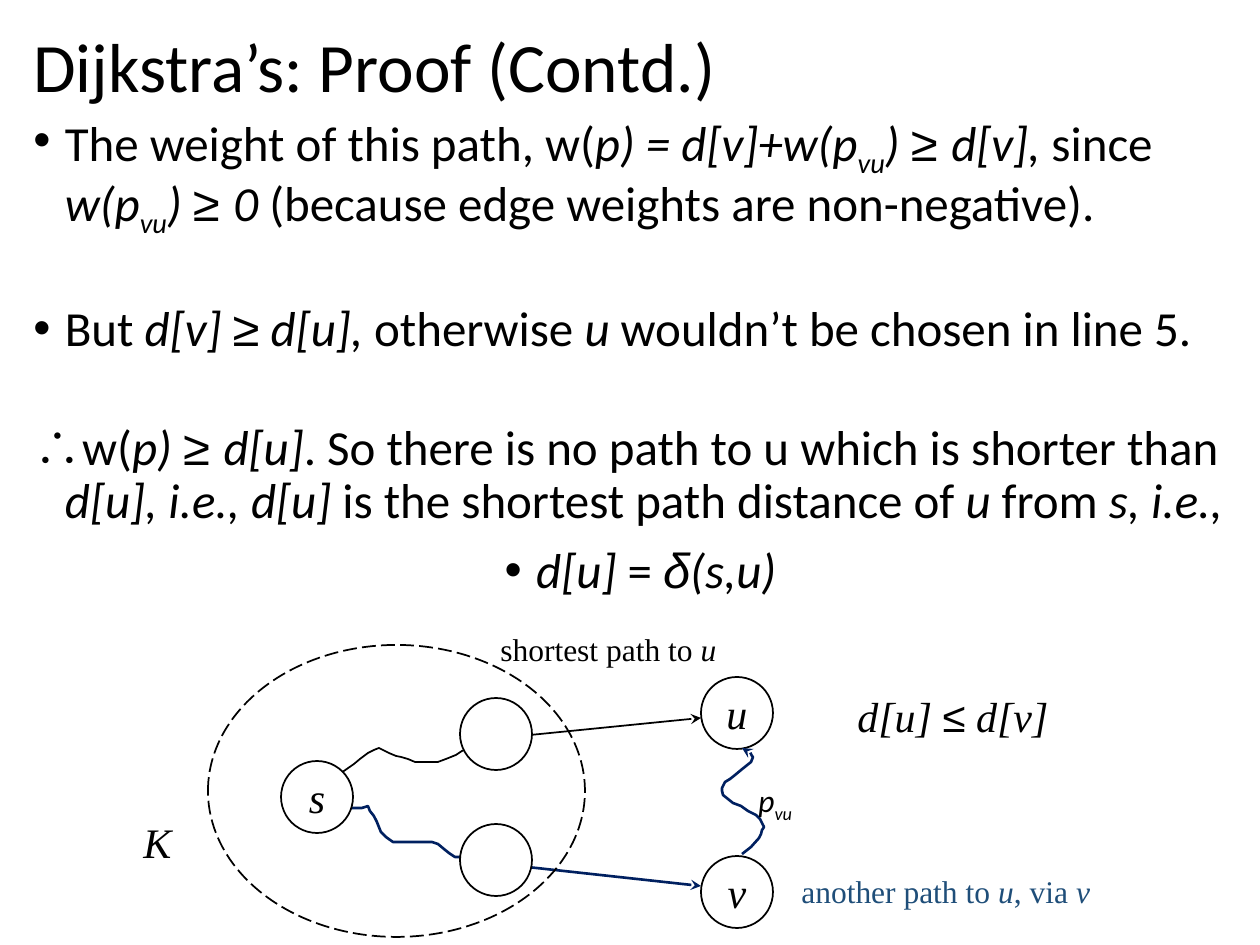
from pptx import Presentation
from pptx.dml.color import RGBColor
from pptx.enum.dml import MSO_LINE
from pptx.enum.shapes import MSO_CONNECTOR, MSO_SHAPE
from pptx.enum.text import MSO_ANCHOR, PP_ALIGN
from pptx.oxml.ns import qn
from pptx.util import Pt
from lxml import etree

PX = 914400 / 126
LEFT, CENTER = PP_ALIGN.LEFT, PP_ALIGN.CENTER
TOP, MIDDLE = MSO_ANCHOR.TOP, MSO_ANCHOR.MIDDLE
OVAL, STRAIGHT = MSO_SHAPE.OVAL, MSO_CONNECTOR.STRAIGHT
LONG_DASH = MSO_LINE.LONG_DASH
SANS, SERIF, SYMBOL = "Calibri", "Times New Roman", "Arial"
BLACK, WHITE, NAVY, BLUE = "000000", "FFFFFF", "002060", "1F4E79"

# Run styles: "i" italic, "s" subscript, "y" symbol font
TITLE = [("Dijkstra’s: Proof (Contd.)", "")]
# bullet, alignment, space before in points, runs
BODY = [
    ("•", LEFT, 10, [
        ("The weight of this path, w(", ""), ("p) = d[v]+w(p", "i"), ("vu", "is"),
        (") ", "i"), ("≥ ", "iy"), ("d[v],", "i"), (" since ", ""), ("w(p", "i"),
        ("vu", "is"), (") ", "i"), ("≥ ", "iy"), ("0 ", "i"),
        ("(because edge weights are non-negative).", "")]),
    ("•", LEFT, 40, [
        ("But ", ""), ("d[v] ", "i"), ("≥", "iy"), (" d[u], ", "i"),
        ("otherwise ", ""), ("u ", "i"), ("wouldn’t be chosen in line 5.", "")]),
    ("∴", LEFT, 38, [
        ("w(", ""), ("p) ", "i"), ("≥ ", "iy"), ("d[u]", "i"),
        (". So there is no path to u which is shorter than ", ""),
        ("d[u], i.e., d[u]", "i"), (" is the shortest path distance of ", ""),
        ("u", "i"), (" from ", ""), ("s, i.e.,", "i")]),
    ("•", CENTER, 10, [
        ("d[u] ", "i"), ("= ", ""), ("δ", "iy"), ("(s,u)", "i")]),
]

PATH_FROM_S = [
    (333, 781), (338, 779), (344, 771), (354, 764), (360, 759), (368, 753), (374, 750),
    (379, 748), (383, 750), (389, 753), (396, 756), (401, 757), (408, 759), (415, 762),
    (438, 762), (446, 759), (456, 755), (462, 751), (469, 748), (478, 743), (484, 740)]
OTHER_PATH_FROM_S = [
    (343, 813), (349, 808), (362, 808), (368, 806), (370, 811), (374, 816), (377, 822),
    (379, 827), (381, 832), (386, 837), (393, 842), (432, 842), (438, 844), (444, 849),
    (449, 853), (455, 857), (461, 857), (465, 858), (480, 864)]
PATH_V_TO_U = [
    (742, 854), (751, 847), (759, 838), (761, 834), (762, 830), (764, 827), (762, 823),
    (760, 819), (756, 815), (748, 811), (741, 806), (733, 803), (728, 799), (723, 795),
    (722, 791), (722, 788), (725, 782), (730, 779), (735, 775), (741, 770), (746, 766),
    (751, 762), (753, 757), (752, 756), (750, 752), (745, 750), (742, 748)]

# start, end, colour, width in points
EDGES = [((500, 738), (701, 718), BLACK, 1), ((500, 864), (701, 886), NAVY, 1.5)]
NODE_SIZE = 72
NODES = [("s", 281, 761), ("", 460, 698), ("", 460, 824), ("u", 701, 677), ("v", 701, 856)]
KNOWN_SET = (208, 645, 377, 292)

# box, font, size, colour, runs
LABELS = [
    ((845, 684, 219, 65), SERIF, 24, BLACK, [("d[u] ", "i"), ("≤", "iy"), (" d[v]", "i")]),
    ((131, 810, 54, 65), SERIF, 24, BLACK, [("K", "i")]),
    ((488, 624, 242, 50), SERIF, 18, BLACK, [("shortest path to ", ""), ("u", "i")]),
    ((789, 866, 316, 50), SERIF, 18, BLUE, [
        ("another path to ", ""), ("u", "i"), (", via ", ""), ("v", "i")]),
]
PATH_LABEL = ((746, 775, 62, 50), SANS, 18, BLACK, [("p", "i"), ("vu", "is")])


def emu(*lengths):
    return [round(length * PX) for length in lengths]


def color(value):
    return RGBColor.from_string(value)


def add_runs(paragraph, runs, font, size, ink):
    for text, style in runs:
        run = paragraph.add_run()
        run.text = text
        run.font.name = SYMBOL if "y" in style else font
        run.font.size = Pt(size)
        run.font.italic = "i" in style
        run.font.color.rgb = color(ink)
        if "s" in style:
            run._r.get_or_add_rPr().set("baseline", "-25000")


def add_text_box(slide, box, wrap=False, anchor=TOP):
    frame = slide.shapes.add_textbox(*emu(*box)).text_frame
    frame.word_wrap = wrap
    frame.vertical_anchor = anchor
    return frame


def add_label(slide, box, font, size, ink, runs):
    add_runs(add_text_box(slide, box).paragraphs[0], runs, font, size, ink)


def set_bullet(paragraph, character):
    properties = paragraph._p.get_or_add_pPr()
    properties.set("marL", "228600")
    properties.set("indent", "-228600")
    etree.SubElement(properties, qn("a:buFont")).set("typeface", SYMBOL)
    etree.SubElement(properties, qn("a:buChar")).set("char", character)


def style_line(line, ink, width, arrow=False):
    line.color.rgb = color(ink)
    line.width = Pt(width)
    if arrow:
        etree.SubElement(line._get_or_add_ln(), qn("a:tailEnd")).set("type", "stealth")


def add_body(slide):
    frame = add_text_box(slide, (21, 107, 1239, 722), wrap=True)
    for index, (bullet, alignment, space, runs) in enumerate(BODY):
        paragraph = frame.add_paragraph() if index else frame.paragraphs[0]
        paragraph.alignment = alignment
        paragraph.line_spacing = 0.9
        paragraph.space_before = Pt(space)
        set_bullet(paragraph, bullet)
        add_runs(paragraph, runs, SANS, 28, BLACK)


def add_curve(slide, points, ink, width, arrow=False):
    builder = slide.shapes.build_freeform(*points[0], scale=PX)
    builder.add_line_segments(points[1:], close=False)
    shape = builder.convert_to_shape()
    shape.shadow.inherit = False
    shape.fill.background()
    style_line(shape.line, ink, width, arrow)


def add_edge(slide, start, end, ink, width):
    connector = slide.shapes.add_connector(STRAIGHT, *emu(*start, *end))
    style_line(connector.line, ink, width, arrow=True)
    etree.SubElement(connector._element.spPr, qn("a:effectLst"))


def add_oval(slide, box):
    shape = slide.shapes.add_shape(OVAL, *emu(*box))
    shape.shadow.inherit = False
    style_line(shape.line, BLACK, 1)
    return shape


def add_node(slide, name, left, top):
    shape = add_oval(slide, (left, top, NODE_SIZE, NODE_SIZE))
    shape.fill.solid()
    shape.fill.fore_color.rgb = color(WHITE)
    if name:
        frame = shape.text_frame
        frame.word_wrap = False
        frame.vertical_anchor = MIDDLE
        frame.paragraphs[0].alignment = CENTER
        add_runs(frame.paragraphs[0], [(name, "i")], SERIF, 24, BLACK)


def main():
    presentation = Presentation()
    presentation.slide_width, presentation.slide_height = emu(1260, 945)
    slide = presentation.slides.add_slide(presentation.slide_layouts[6])

    title = add_text_box(slide, (21, 23, 1212, 93), wrap=True, anchor=MIDDLE).paragraphs[0]
    title.line_spacing = 0.9
    add_runs(title, TITLE, SANS, 39.6, BLACK)
    add_body(slide)

    add_curve(slide, PATH_FROM_S, BLACK, 1)
    add_curve(slide, OTHER_PATH_FROM_S, NAVY, 1.5)
    for edge in EDGES:
        add_edge(slide, *edge)
    for node in NODES:
        add_node(slide, *node)
    for label in LABELS:
        add_label(slide, *label)
    known_set = add_oval(slide, KNOWN_SET)
    known_set.fill.background()
    known_set.line.dash_style = LONG_DASH
    add_curve(slide, PATH_V_TO_U, NAVY, 1.5, arrow=True)
    add_label(slide, *PATH_LABEL)

    presentation.save("out.pptx")


if __name__ == "__main__":
    main()
